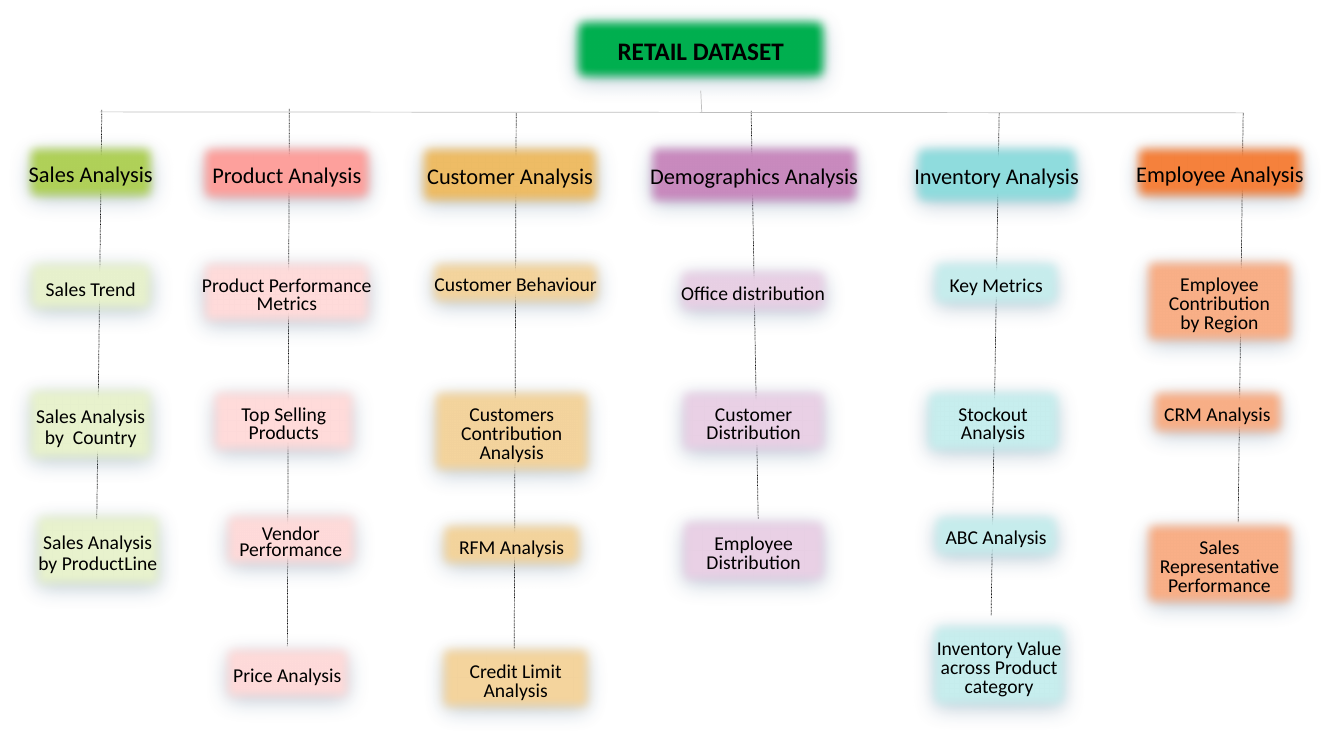
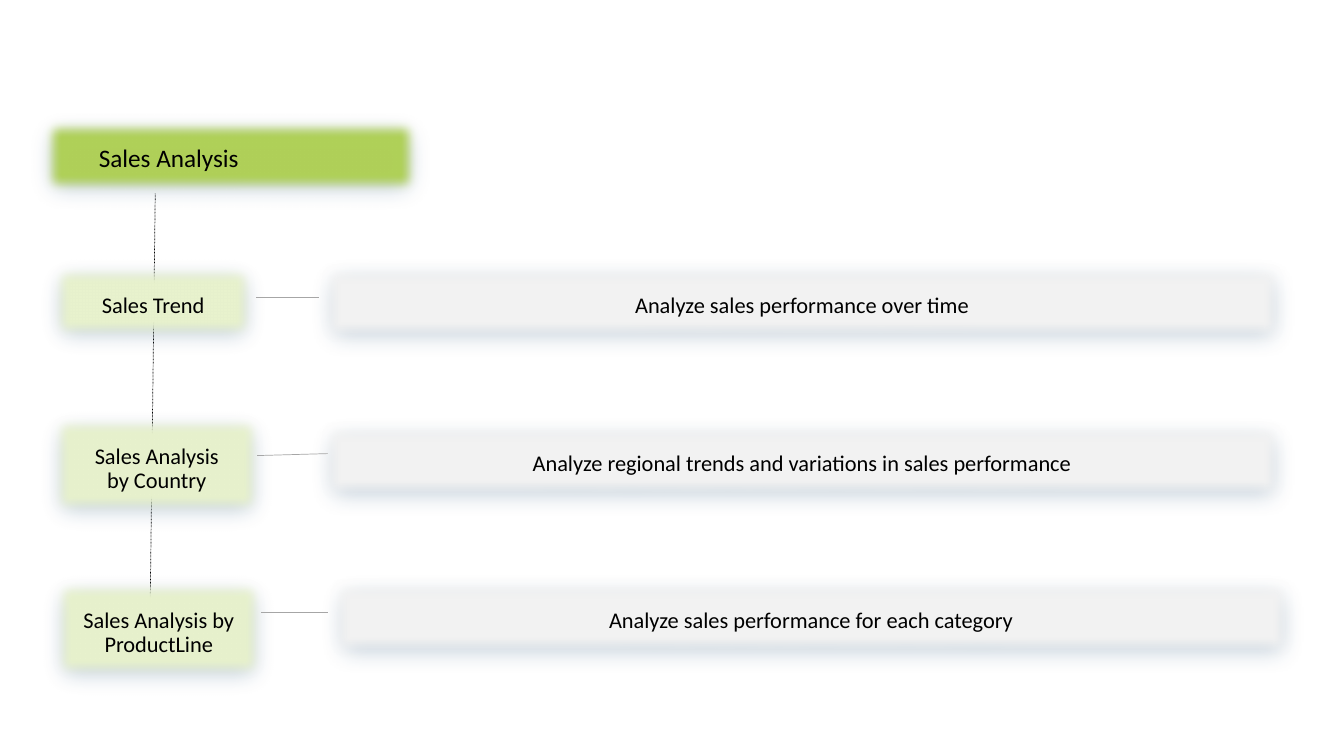
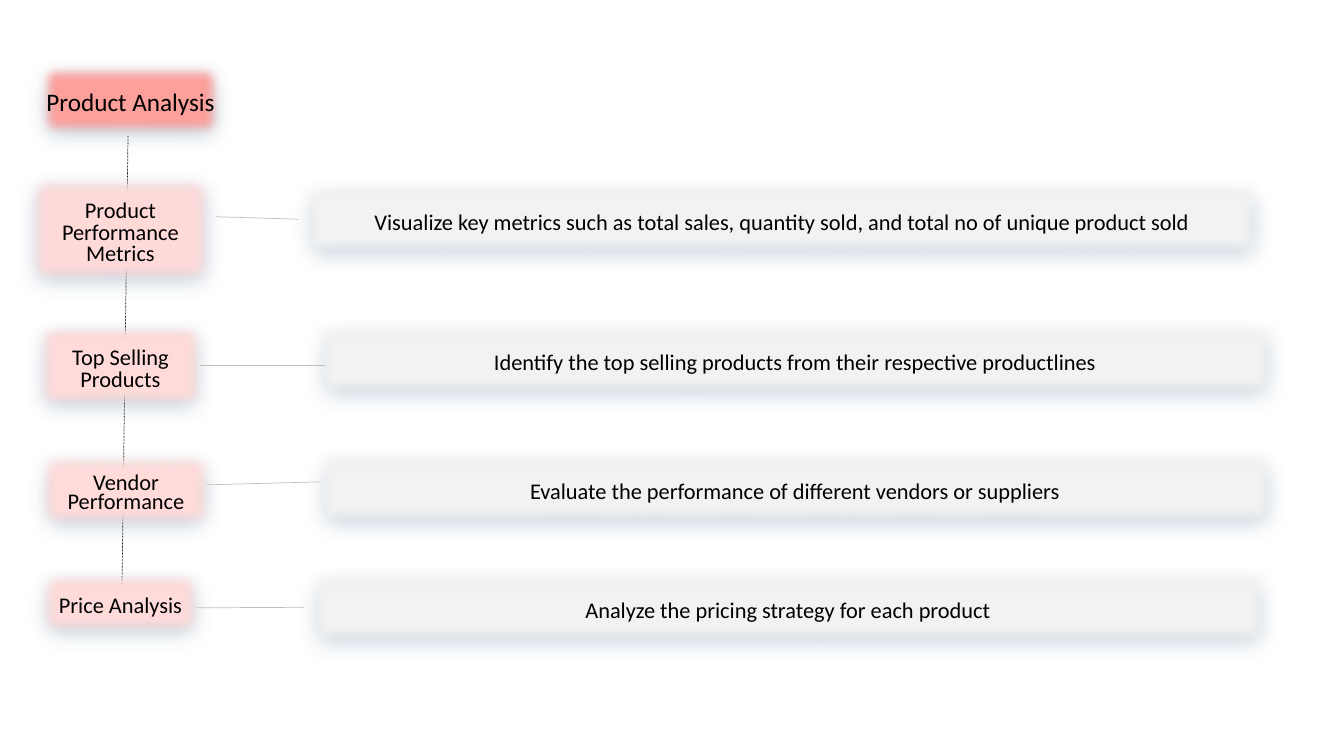
from lxml import etree
from pptx import Presentation
from pptx.dml.color import RGBColor
from pptx.enum.dml import MSO_LINE
from pptx.enum.shapes import MSO_CONNECTOR, MSO_SHAPE
from pptx.enum.text import MSO_ANCHOR, PP_ALIGN
from pptx.oxml import parse_xml
from pptx.oxml.ns import nsdecls, qn
from pptx.util import Inches, Pt

RECTANGLE = MSO_SHAPE.RECTANGLE
STRAIGHT = MSO_CONNECTOR.STRAIGHT
DOTTED = MSO_LINE.ROUND_DOT
MIDDLE = MSO_ANCHOR.MIDDLE
CENTER = PP_ALIGN.CENTER
LEFT = PP_ALIGN.LEFT
BOTTOM_SIDE, LEFT_SIDE = 2, 1

BLACK = RGBColor(0x00, 0x00, 0x00)
OUTLINE = RGBColor(0x43, 0x73, 0x9E)
TEAL_GREEN = RGBColor(0x1B, 0xC1, 0x84)
ROOT_GREEN = RGBColor(0x00, 0xB0, 0x50)
GREEN = RGBColor(0xB0, 0xD1, 0x59)
PALE_GREEN = RGBColor(0xE8, 0xF2, 0xCD)
RED = RGBColor(0xFD, 0xA0, 0x9C)
PALE_RED = RGBColor(0xFF, 0xDB, 0xDA)
AMBER = RGBColor(0xEE, 0xBC, 0x65)
PALE_AMBER = RGBColor(0xF4, 0xD4, 0x9D)
PURPLE = RGBColor(0xC9, 0x8A, 0xBE)
PALE_PURPLE = RGBColor(0xE9, 0xD0, 0xE5)
CYAN = RGBColor(0x8F, 0xDC, 0xDD)
PALE_CYAN = RGBColor(0xC7, 0xEE, 0xEE)
ORANGE = RGBColor(0xF5, 0x81, 0x3C)
PALE_ORANGE = RGBColor(0xF9, 0xAF, 0x87)
PALE_GRAY = RGBColor(0xF2, 0xF2, 0xF2)
SILVER = RGBColor(0xBF, 0xBF, 0xBF)
GRAY = RGBColor(0xA6, 0xA6, 0xA6)

SOFT_GLOW = (
    f'<a:effectLst {nsdecls("a")}>'
    '<a:outerShdw blurRad="190500" dist="50800" dir="5400000" algn="ctr" rotWithShape="0">'
    '<a:srgbClr val="1F4E79"><a:alpha val="39000"/></a:srgbClr></a:outerShdw>'
    '<a:softEdge rad="112500"/></a:effectLst>'
)

HEADER_TOP, FIRST_TOP, SECOND_TOP = 1.33, 2.47, 3.75
BAR_WIDTH, BAR_HEIGHT = 9.59, 0.83

BRANCHES = [
    ("Sales Analysis", (0.16, 1.48, 0.75), GREEN, PALE_GREEN, TEAL_GREEN, 0.9,
     (1.01, 1.09, 0.96, 5.15), [
         ("Sales Trend", 0.16, FIRST_TOP, 1.48, 0.73),
         ("Sales Analysis by  Country", 0.16, 3.73, 1.48, 0.95),
         ("Sales Analysis by ProductLine", 0.23, 4.98, 1.48, 0.95)]),
    ("Product Analysis", (1.89, 1.91, 0.77), RED, PALE_RED, OUTLINE, 0.8,
     (2.87, 1.08, 2.85, 6.41), [
         ("Product Performance Metrics", 1.89, FIRST_TOP, 1.91, 0.85),
         ("Top Selling Products", 1.99, SECOND_TOP, 1.65, 0.85),
         ("Vendor Performance", 2.11, 4.97, 1.55, 0.76),
         ("Price Analysis", 2.11, 6.3, 1.48, 0.75)]),
    ("Customer Analysis", (4.06, 2, 0.8), AMBER, PALE_AMBER, OUTLINE, 0.8,
     (5.12, 1.12, 5.1, 6.44), [
         ("Customer Behaviour", 4.16, FIRST_TOP, 1.91, 0.66),
         ("Customers Contribution\nAnalysis", 4.18, SECOND_TOP, 1.79, 1.05),
         ("RFM Analysis", 4.26, 5.07, 1.63, 0.66),
         ("Credit Limit Analysis", 4.26, 6.3, 1.71, 0.85)]),
    ("Demographics Analysis", (6.33, 2.3, 0.8), PURPLE, PALE_PURPLE, OUTLINE, 0.8,
     (7.45, 1.1, 7.52, 5.15), [
         ("Office distribution", 6.62, 2.55, 1.7, 0.66),
         ("Customer Distribution", 6.64, SECOND_TOP, 1.67, 0.85),
         ("Employee Distribution", 6.64, 5.03, 1.67, 0.86)]),
    ("Inventory Analysis", (8.96, 1.85, 0.8), CYAN, PALE_CYAN, OUTLINE, 0.8,
     (9.91, 1.12, 9.83, 6.11), [
         ("Key Metrics", 9.14, FIRST_TOP, 1.48, 0.67),
         ("Stockout Analysis", 9.07, SECOND_TOP, 1.56, 0.85),
         ("ABC Analysis", 9.14, 4.98, 1.48, 0.66),
         ("Inventory Value across Product category", 9.13, 6.07, 1.56, 1.05)]),
    ("Employee Analysis", (11.15, 1.9, 0.75), ORANGE, PALE_ORANGE, OUTLINE, 0.8,
     (12.33, 1.12, 12.28, 5.18), [
         ("Employee Contribution\nby Region", 11.25, 2.46, 1.69, 1.05),
         ("CRM Analysis", 11.31, SECOND_TOP, 1.53, 0.67),
         ("Sales Representative Performance", 11.25, 5.07, 1.69, 1.04)]),
]

SALES_ROWS = [
    ("Sales Trend", (0.47, 2.58, 2.1, 0.83), 0.9,
     "Analyze sales performance over time", (3.16, 2.58), (2.54, 2.95, 3.16, 2.95), False),
    ("Sales Analysis\nby Country", (0.47, 4.08, 2.17, 1.07), 0.9,
     "Analyze regional trends and variations in sales performance",
     (3.16, 4.15), (2.55, 4.52, 3.25, 4.5), False),
    ("Sales Analysis by ProductLine", (0.49, 5.71, 2.17, 1.07), 0.9,
     "Analyze sales performance for each category", (3.25, 5.71), (2.59, 6.08, 3.25, 6.08), False),
]

PRODUCT_ROWS = [
    ("Product Performance Metrics", (0.23, 1.69, 1.93, 1.18), 0.8,
     "Visualize key metrics such as total sales, quantity sold, and total no of unique product sold",
     (2.96, 1.76), (2.14, 2.15, 2.96, 2.18), True),
    ("Top Selling Products", (0.31, 3.15, 1.77, 0.96), 0.8,
     "Identify the top selling products from their respective productlines",
     (3.09, 3.15), (1.98, 3.62, 3.22, 3.62), False),
    ("Vendor Performance", (0.34, 4.44, 1.82, 0.85), 0.7,
     "Evaluate the performance of different vendors or suppliers",
     (3.09, 4.43), (2.05, 4.81, 3.18, 4.78), False),
    ("Price Analysis", (0.34, 5.61, 1.71, 0.75), 0.8,
     "Analyze the pricing strategy for each product",
     (3.02, 5.61), (1.95, 6.03, 3.02, 6.02), True),
]


class Deck:
    font_name = "Calibri"

    def __init__(self):
        self.presentation = Presentation()
        self.presentation.slide_width = Inches(13.33)
        self.presentation.slide_height = Inches(7.5)
        self.slide = None

    def new_slide(self):
        self.slide = self.presentation.slides.add_slide(self.presentation.slide_layouts[6])

    def box(self, text, place, fill, size, spacing=0.8, outline=OUTLINE, bold=False, indent=None):
        shape = self.slide.shapes.add_shape(RECTANGLE, *map(Inches, place))
        shape.fill.solid()
        shape.fill.fore_color.rgb = fill
        shape.line.color.rgb = outline
        shape.line.width = Pt(1)
        shape.shadow.inherit = False
        properties = shape._element.spPr
        properties.replace(properties.find(qn("a:effectLst")), parse_xml(SOFT_GLOW))
        frame = shape.text_frame
        frame.word_wrap = True
        frame.vertical_anchor = MIDDLE
        frame.margin_top, frame.margin_bottom = Inches(0.13), Inches(0.05)
        if indent:
            frame.margin_left = Inches(0.1 + indent)
        frame.text = text
        for paragraph in frame.paragraphs:
            paragraph.alignment = LEFT if indent else CENTER
            paragraph.line_spacing = spacing
            paragraph.font.name = self.font_name
            paragraph.font.size = Pt(size)
            paragraph.font.bold = bold
            paragraph.font.color.rgb = BLACK
        return shape

    def line(self, ends, color, dash=None):
        connector = self.slide.shapes.add_connector(STRAIGHT, *map(Inches, ends))
        connector.line.color.rgb = color
        connector.line.width = Pt(0.5)
        if dash:
            connector.line.dash_style = dash
        etree.SubElement(connector._element.spPr, qn("a:effectLst"))
        return connector

    def spine(self, ends):
        self.line(ends, BLACK, DOTTED)

    def rows(self, entries, label_fill, link_color):
        for label, label_place, spacing, detail, corner, link, joined in entries:
            self.box(label, label_place, label_fill, 16, spacing)
            bar = self.box(detail, (*corner, BAR_WIDTH, BAR_HEIGHT), PALE_GRAY, 16, 0.9)
            connector = self.line(link, link_color)
            if joined:
                connector.end_connect(bar, LEFT_SIDE)


def build_overview(deck):
    deck.new_slide()
    for branch in BRANCHES:
        deck.spine(branch[6])
    root = deck.box("RETAIL DATASET", (5.59, 0.07, 2.72, 0.83), ROOT_GREEN, 18, bold=True)
    for title, (left, width, height), fill, pale, outline, spacing, _, leaves in BRANCHES:
        deck.box(title, (left, HEADER_TOP, width, height), fill, 16, outline=outline)
        for topic, *place in leaves:
            topic_spacing = 0.7 if topic == "Vendor Performance" else spacing
            deck.box(topic, place, pale, 14, topic_spacing)
    deck.line((0.99, 1.11, 12.33, 1.12), SILVER)
    deck.line((6.95, 0.9, 6.96, 1.11), SILVER).begin_connect(root, BOTTOM_SIDE)


def build_sales(deck):
    deck.new_slide()
    deck.spine((1.54, 1.92, 1.49, 5.99))
    deck.box("Sales Analysis", (0.38, 1.13, 3.81, 0.83), GREEN, 18, outline=TEAL_GREEN, indent=0.5)
    deck.rows(SALES_ROWS, PALE_GREEN, GRAY)


def build_products(deck):
    deck.new_slide()
    deck.spine((1.27, 1.35, 1.21, 5.81))
    deck.box("Product Analysis", (0.34, 0.58, 1.91, 0.83), RED, 18)
    deck.rows(PRODUCT_ROWS, PALE_RED, SILVER)


def main():
    deck = Deck()
    build_overview(deck)
    build_sales(deck)
    build_products(deck)
    deck.presentation.save("out.pptx")


if __name__ == "__main__":
    main()
